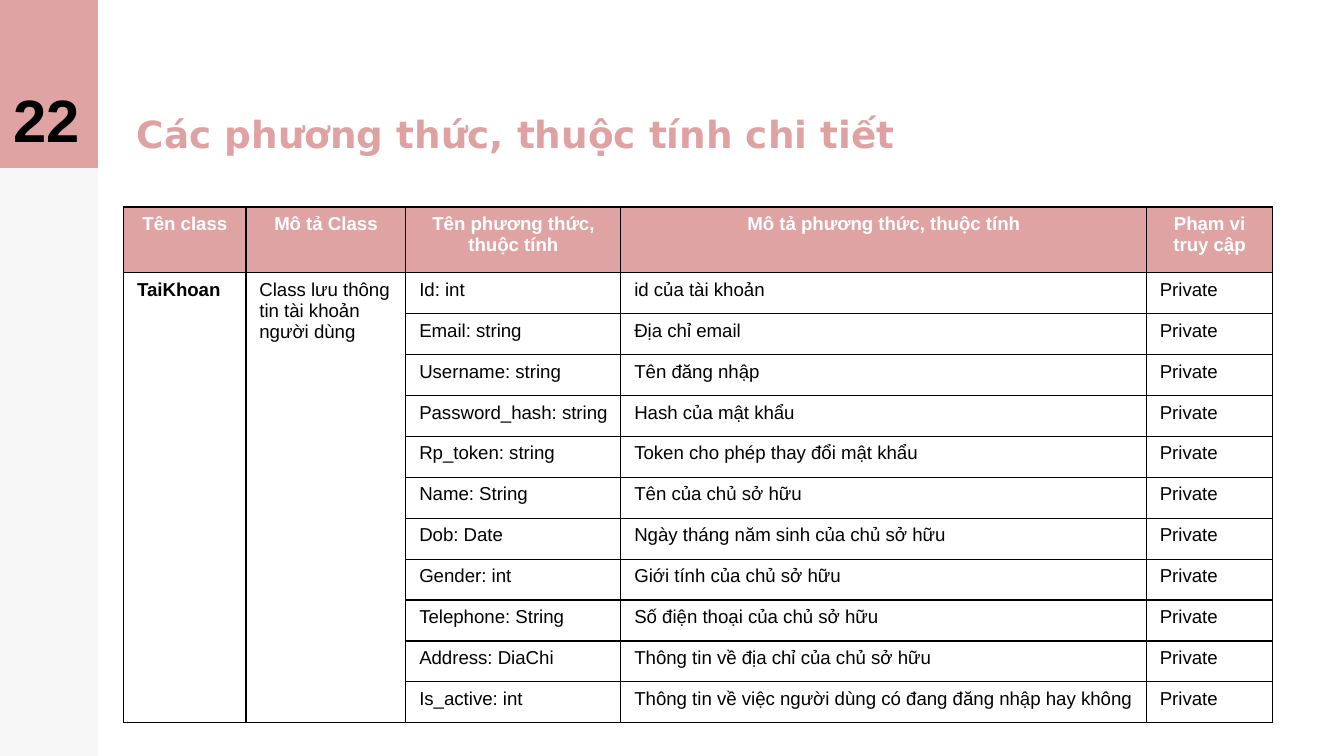
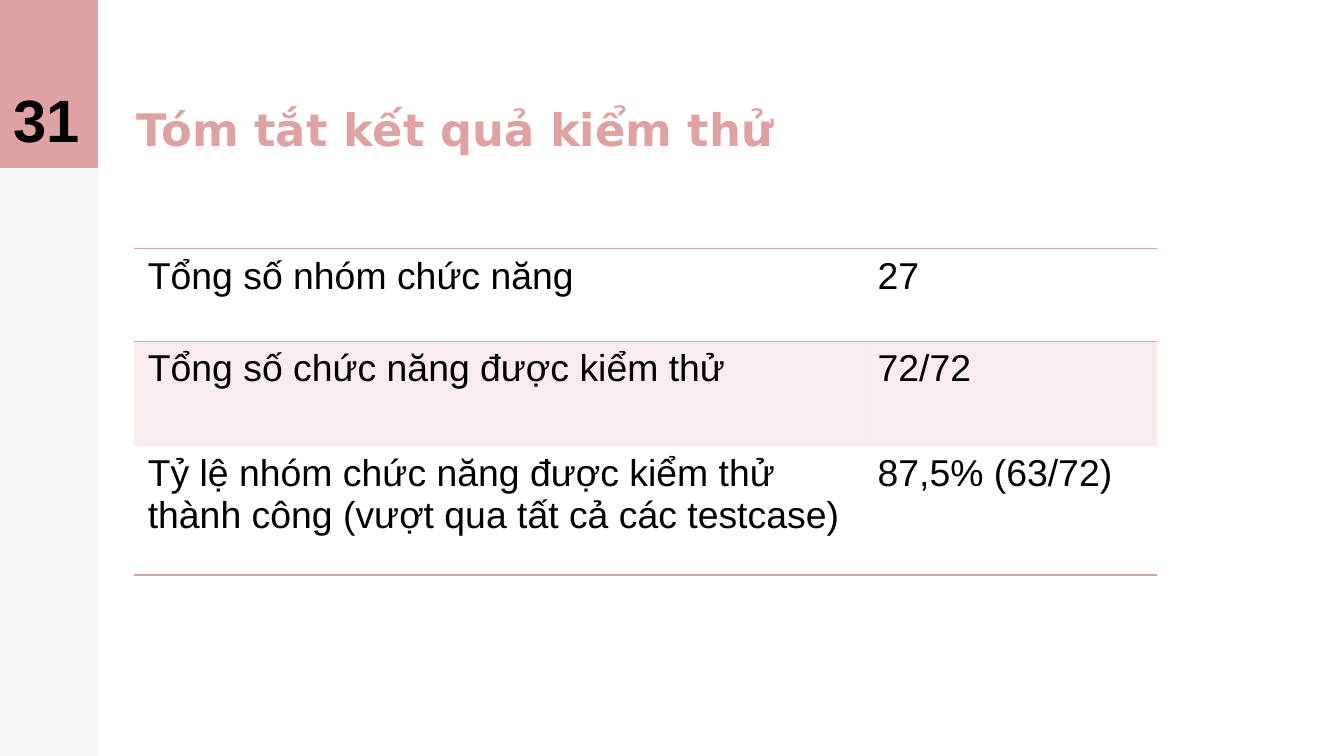
import pptx
import pptx.util
import pptx.dml.color
import pptx.enum.shapes
import pptx.enum.text
import pptx.oxml
import pptx.oxml.ns

Inches = pptx.util.Inches
Pt = pptx.util.Pt
RGBColor = pptx.dml.color.RGBColor
ALIGN = pptx.enum.text.PP_ALIGN
ANCHOR = pptx.enum.text.MSO_ANCHOR
qn = pptx.oxml.ns.qn

BLACK = RGBColor(0x00, 0x00, 0x00)
WHITE = RGBColor(0xFF, 0xFF, 0xFF)
PINK = RGBColor(0xE0, 0xA3, 0xA3)
ROSE = RGBColor(0xDF, 0xA2, 0xA3)

BODY_FONT = "Arial"
TITLE_FONT = "DejaVu Sans"
SLIDE_WIDTH = 10
SLIDE_HEIGHT = SLIDE_WIDTH * 9 / 16
BAND_WIDTH = 0.73
HEADER_HEIGHT = 1.25

CLASS_HEADER = ["Tên class", "Mô tả Class", "Tên phương thức, thuộc tính",
                "Mô tả phương thức, thuộc tính", "Phạm vi truy cập"]
CLASS_NAME = "TaiKhoan"
CLASS_NOTE = "Class lưu thông tin tài khoản người dùng"
ATTRIBUTES = [
    ("Id: int", "id của tài khoản"),
    ("Email: string", "Địa chỉ email"),
    ("Username: string", "Tên đăng nhập"),
    ("Password_hash: string", "Hash của mật khẩu"),
    ("Rp_token: string", "Token cho phép thay đổi mật khẩu"),
    ("Name: String", "Tên của chủ sở hữu"),
    ("Dob: Date", "Ngày tháng năm sinh của chủ sở hữu"),
    ("Gender: int", "Giới tính của chủ sở hữu"),
    ("Telephone: String", "Số điện thoại của chủ sở hữu"),
    ("Address: DiaChi", "Thông tin về địa chỉ của chủ sở hữu"),
    ("Is_active: int", "Thông tin về việc người dùng có đang đăng nhập hay không"),
]
TEST_RESULTS = [
    ("Tổng số nhóm chức năng", "27"),
    ("Tổng số chức năng được kiểm thử", "72/72"),
    ("Tỷ lệ nhóm chức năng được kiểm thử thành công (vượt qua tất cả các testcase)",
     "87,5% (63/72)"),
]


def set_fill(fill, props, color, opacity=100):
    """Fill solidly; props is the XML element that holds the fill."""
    fill.solid()
    fill.fore_color.rgb = color
    if opacity < 100:
        clr = props.find(qn("a:solidFill")).find(qn("a:srgbClr"))
        alpha = pptx.oxml.parse_xml(
            f'<a:alpha {pptx.oxml.ns.nsdecls("a")} val="{opacity * 1000}"/>')
        clr.append(alpha)


def add_run(tf, text, size, color, bold=False, font=BODY_FONT, align=ALIGN.LEFT):
    p = tf.paragraphs[0]
    p.alignment = align
    r = p.add_run()
    r.text = text
    r.font.name = font
    r.font.size = Pt(size)
    r.font.bold = bold
    r.font.color.rgb = color


def add_band(s, height, color, opacity=100):
    sp = s.shapes.add_shape(pptx.enum.shapes.MSO_SHAPE.RECTANGLE, 0, 0,
                            Inches(BAND_WIDTH), Inches(height))
    sp.shadow.inherit = False
    sp.line.fill.background()
    set_fill(sp.fill, sp._element.spPr, color, opacity)


def add_bottom_text(s, left, top, width, text, size, color, font):
    """Add bold text that sits on the bottom edge of the header."""
    tb = s.shapes.add_textbox(Inches(left), Inches(top), Inches(width),
                              Inches(HEADER_HEIGHT))
    tf = tb.text_frame
    tf.word_wrap = True
    tf.vertical_anchor = ANCHOR.BOTTOM
    tf.margin_left = tf.margin_right = tf.margin_top = tf.margin_bottom = Inches(0.1)
    add_run(tf, text, size, color, True, font)


def add_slide(prs, number, title, title_size, title_width):
    s = prs.slides.add_slide(prs.slide_layouts[6])
    add_band(s, SLIDE_HEIGHT, BLACK, 3)
    add_band(s, HEADER_HEIGHT, PINK)
    add_bottom_text(s, 0.92, 0.01, title_width, title, title_size, ROSE, TITLE_FONT)
    add_bottom_text(s, 0, 0, BAND_WIDTH, number, 32, BLACK, BODY_FONT)
    return s


def add_table(s, left, top, widths, heights):
    frame = s.shapes.add_table(len(heights), len(widths), Inches(left), Inches(top),
                               Inches(sum(widths)), Inches(sum(heights)))
    table = frame.table
    table.first_row = False
    table.horz_banding = False
    for col, width in zip(table.columns, widths):
        col.width = Inches(width)
    for row, height in zip(table.rows, heights):
        row.height = Inches(height)
    return table


def style_cell(cell, color=None, opacity=100, sides="", line_color=BLACK, line_width=1):
    """Set the fill and draw the lines named in sides (L, R, T, B)."""
    props = cell._tc.get_or_add_tcPr()
    if color is None:
        cell.fill.background()
    else:
        set_fill(cell.fill, props, color, opacity)
    for i, side in enumerate("LRTB"):
        paint = (f'<a:solidFill><a:srgbClr val="{line_color}"/></a:solidFill>'
                 if side in sides else "<a:noFill/>")
        props.insert(i, pptx.oxml.parse_xml(
            f'<a:ln{side} {pptx.oxml.ns.nsdecls("a")} w="{Pt(line_width)}">'
            f'{paint}</a:ln{side}>'))


def add_class_table(s):
    row_height = (3.84 - 0.49) / len(ATTRIBUTES)
    table = add_table(s, 0.92, 1.54, [0.91, 1.19, 1.6, 3.91, 0.94],
                      [0.49] + [row_height] * len(ATTRIBUTES))
    for r, row in enumerate(table.rows):
        for cell in row.cells:
            style_cell(cell, PINK if r == 0 else None, sides="LRTB", line_width=0.75)
    for c, text in enumerate(CLASS_HEADER):
        add_run(table.cell(0, c).text_frame, text, 10, WHITE, True, align=ALIGN.CENTER)
    for c, text in enumerate([CLASS_NAME, CLASS_NOTE]):
        table.cell(1, c).merge(table.cell(len(ATTRIBUTES), c))
        add_run(table.cell(1, c).text_frame, text, 10, BLACK, bold=c == 0)
    for r, attribute in enumerate(ATTRIBUTES, 1):
        for c, text in enumerate([*attribute, "Private"], 2):
            add_run(table.cell(r, c).text_frame, text, 10, BLACK)


def add_result_table(s):
    table = add_table(s, 1, 1.85, [5.43, 2.18], [0.69, 0.78, 0.96])
    for r, (result, sides) in enumerate(zip(TEST_RESULTS, ["TB", "T", "B"])):
        for c, text in enumerate(result):
            cell = table.cell(r, c)
            style_cell(cell, ROSE if r == 1 else None, 20, sides, ROSE)
            add_run(cell.text_frame, text, 20, BLACK)


def main():
    prs = pptx.Presentation()
    prs.slide_width = Inches(SLIDE_WIDTH)
    prs.slide_height = Inches(SLIDE_HEIGHT)
    add_class_table(add_slide(prs, "22", "Các phương thức, thuộc tính chi tiết", 20, 6.69))
    add_result_table(add_slide(prs, "31", "Tóm tắt kết quả kiểm thử", 24, 5.1))
    prs.save("out.pptx")


if __name__ == "__main__":
    main()
